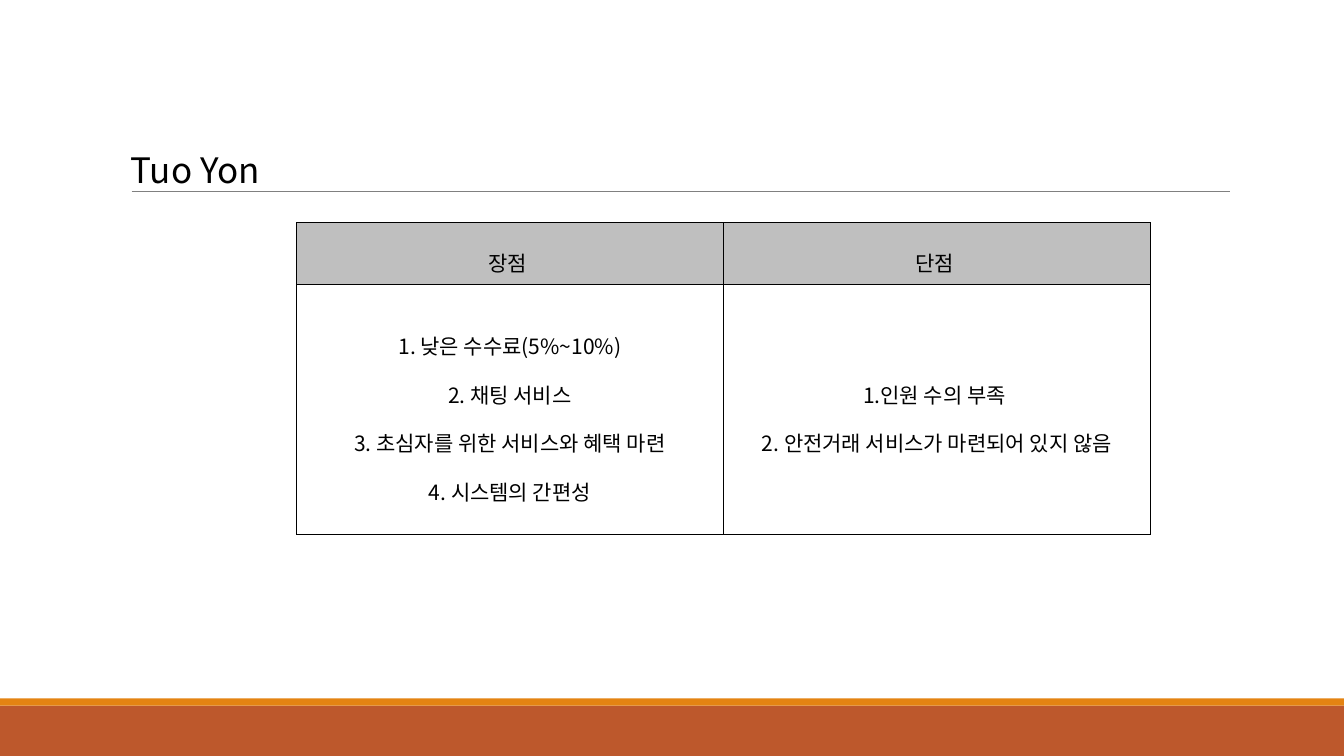
from lxml.etree import SubElement
from pptx import Presentation
from pptx.dml.color import RGBColor
from pptx.enum.shapes import MSO_CONNECTOR, MSO_SHAPE
from pptx.enum.text import MSO_ANCHOR, PP_ALIGN
from pptx.oxml import parse_xml
from pptx.oxml.ns import nsdecls, qn
from pptx.util import Cm, Pt

FONT = "Noto Sans CJK KR"
WIDTH, HEIGHT = 33.87, 19.05
HEADS = ["장점 ", "단점 "]
LISTS = [
    ["1. 낮은 수수료(5%~10%)", "2. 채팅 서비스",
     "3. 초심자를 위한 서비스와 혜택 마련", "4. 시스템의 간편성"],
    ["1.인원 수의 부족 ", "2. 안전거래 서비스가 마련되어 있지 않음"],
]


def color(code):
    """Turn a hex string into a colour."""
    return RGBColor.from_string(code)


def write(frame, lines, size, align):
    """Fill a text frame with one paragraph per line."""
    frame.text = "\n".join(lines)
    for para in frame.paragraphs:
        para.alignment = align
        para.line_spacing = 1.6
        font = para.font
        font.size = Pt(size)
        font.name = FONT
        font.color.rgb = color("000000")
        props = para._p.pPr.find(qn("a:defRPr"))
        SubElement(props, qn("a:ea"), typeface=FONT)


def band(slide, top, height, code):
    """Draw a full-width band."""
    shape = slide.shapes.add_shape(
        MSO_SHAPE.RECTANGLE, 0, Cm(top), Cm(WIDTH), Cm(height))
    shape.shadow.inherit = False
    shape.fill.solid()
    shape.fill.fore_color.rgb = color(code)
    shape.line.fill.background()


def rule(slide, left, right, top):
    """Draw the thin line under the title."""
    line = slide.shapes.add_connector(
        MSO_CONNECTOR.STRAIGHT, Cm(left), Cm(top), Cm(right), Cm(top))
    line.line.color.rgb = color("808080")
    line.line.width = Pt(0.5)
    SubElement(line._element.spPr, qn("a:effectLst"))


def title(slide, text):
    """Place the slide title."""
    box = slide.shapes.add_textbox(Cm(3.05), Cm(3.1), Cm(7.7), Cm(1.73))
    frame = box.text_frame
    frame.word_wrap = True
    frame.vertical_anchor = MSO_ANCHOR.MIDDLE
    write(frame, [text], 25, PP_ALIGN.LEFT)


def edge(cell):
    """Give a cell thin black borders."""
    props = cell._tc.get_or_add_tcPr()
    for spot, side in enumerate("LRTB"):
        props.insert(spot, parse_xml(
            f'<a:ln{side} {nsdecls("a")} w="{Pt(0.28)}"><a:solidFill>'
            f'<a:srgbClr val="000000"/></a:solidFill></a:ln{side}>'))


def fill(cell, lines, code=None):
    """Write and style one table cell."""
    cell.margin_left = cell.margin_right = Cm(0.18)
    cell.margin_top = cell.margin_bottom = Cm(0.05)
    cell.vertical_anchor = MSO_ANCHOR.MIDDLE
    write(cell.text_frame, lines, 15, PP_ALIGN.CENTER)
    if code:
        cell.fill.solid()
        cell.fill.fore_color.rgb = color(code)
    else:
        cell.fill.background()
    edge(cell)


def grid(slide):
    """Build the table of pros and cons."""
    table = slide.shapes.add_table(
        2, 2, Cm(7.47), Cm(5.6), Cm(21.52), Cm(7.86)).table
    table.rows[0].height = Cm(1.57)
    table.rows[1].height = Cm(6.29)
    for col, (head, lines) in enumerate(zip(HEADS, LISTS)):
        fill(table.cell(0, col), [head], "BFBFBF")
        fill(table.cell(1, col), lines)


def main():
    """Build and save the slide."""
    deck = Presentation()
    deck.slide_width, deck.slide_height = Cm(WIDTH), Cm(HEIGHT)
    slide = deck.slides.add_slide(deck.slide_layouts[6])
    band(slide, 17.78, 1.27, "BD582C")
    band(slide, 17.6, 0.18, "E48312")
    rule(slide, 3.32, 31, 4.82)
    grid(slide)
    title(slide, "Tuo Yon")
    deck.save("out.pptx")


if __name__ == "__main__":
    main()
